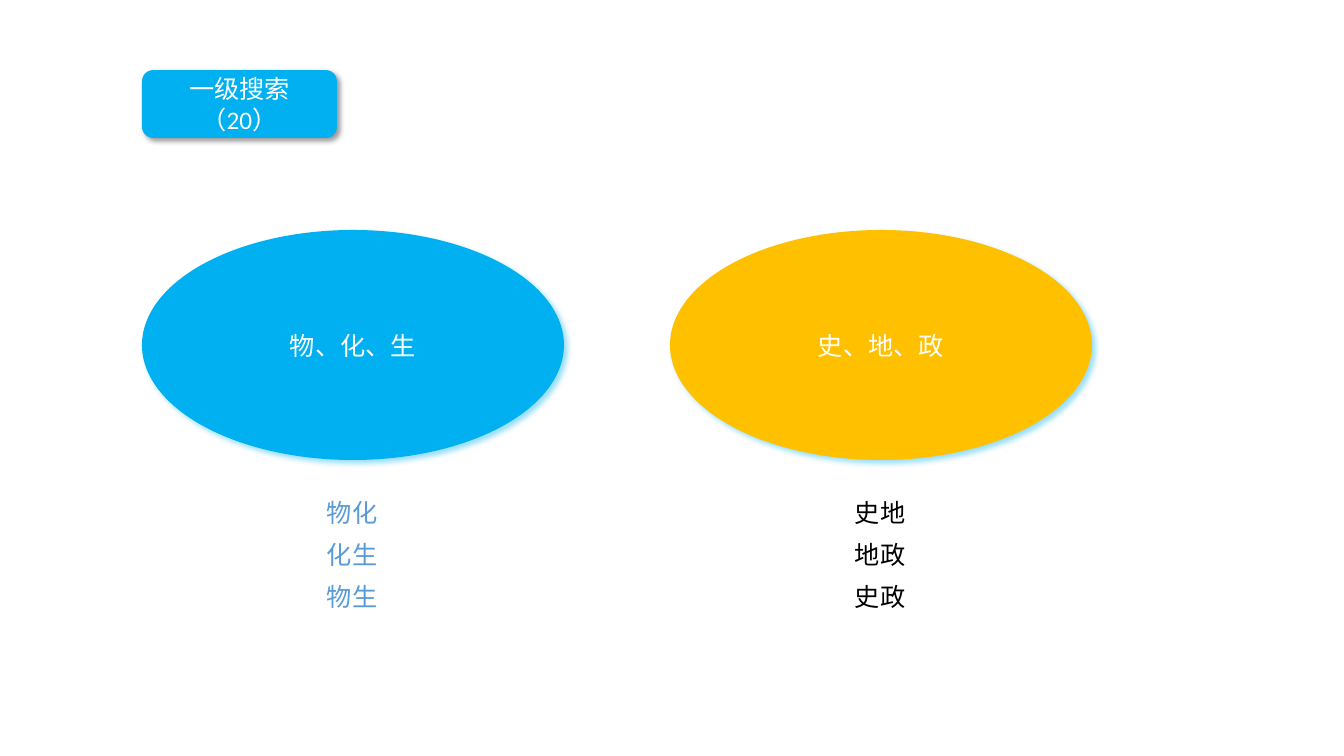
from dataclasses import dataclass

from lxml import etree
from pptx import Presentation
from pptx.dml.color import RGBColor
from pptx.enum.shapes import MSO_SHAPE
from pptx.enum.text import MSO_ANCHOR, MSO_AUTO_SIZE, PP_ALIGN
from pptx.oxml.ns import qn
from pptx.util import Pt

OVAL = MSO_SHAPE.OVAL
BADGE = MSO_SHAPE.FLOWCHART_ALTERNATE_PROCESS
CENTER, LEFT = PP_ALIGN.CENTER, PP_ALIGN.LEFT
MIDDLE = MSO_ANCHOR.MIDDLE
GROW = MSO_AUTO_SIZE.SHAPE_TO_FIT_TEXT


@dataclass(frozen=True)
class Theme:
    blue: str = "00B0F0"
    gold: str = "FFC000"
    soft: str = "5B9BD5"
    black: str = "000000"
    white: str = "FFFFFF"
    latin: str = "Calibri"
    han: str = "Noto Sans CJK SC"
    size: int = 18


THEME = Theme()

TITLE = "一级搜索（20）"
GROUPS = [
    ("物、化、生", THEME.blue, THEME.soft, ["物化", "化生", "物生"]),
    ("史、地、政", THEME.gold, THEME.black, ["史地", "地政", "史政"]),
]

# Lengths in px
PX = 914400 / 100.8
WIDTH, HEIGHT = 1344, 756
LEFT_X = 142
BADGE_Y, BADGE_W, BADGE_H = 70, 195, 68
OVAL_Y, OVAL_W, OVAL_H = 230, 422, 230
GROUP_STEP = 528
PAIR_Y, PAIR_W, PAIR_H, PAIR_STEP = 492, 72, 40, 42


def emu(*px):
    return [round(n * PX) for n in px]


def write(shape, text, color, font, align):
    para = shape.text_frame.paragraphs[0]
    para.text = text
    para.alignment = align
    run = para.runs[0]
    run.font.size = Pt(THEME.size)
    run.font.name = font
    run.font.color.rgb = RGBColor.from_string(color)
    props = run.font._element
    east = etree.Element(qn("a:ea"), typeface=THEME.han)
    props.find(qn("a:latin")).addnext(east)


def cast(shape, color):
    """Give the shape a soft shadow to the lower right."""
    shape.shadow.inherit = False
    effects = shape._element.spPr.find(qn("a:effectLst"))
    outer = etree.SubElement(
        effects, qn("a:outerShdw"), blurRad=str(Pt(4)), dist=str(Pt(3)),
        dir="2700000", algn="tl", rotWithShape="0")
    tint = etree.SubElement(outer, qn("a:srgbClr"), val=color)
    etree.SubElement(tint, qn("a:alpha"), val="40000")


def add_block(slide, kind, box, text, fill, shade, font):
    shape = slide.shapes.add_shape(kind, *emu(*box))
    shape.fill.solid()
    shape.fill.fore_color.rgb = RGBColor.from_string(fill)
    shape.line.fill.background()
    cast(shape, shade)
    shape.text_frame.word_wrap = True
    shape.text_frame.vertical_anchor = MIDDLE
    write(shape, text, THEME.white, font, CENTER)


def add_pair(slide, x, y, text, color):
    label = slide.shapes.add_textbox(*emu(x, y, PAIR_W, PAIR_H))
    label.text_frame.word_wrap = False
    label.text_frame.auto_size = GROW
    write(label, text, color, THEME.han, LEFT)


def main():
    deck = Presentation()
    deck.slide_width, deck.slide_height = emu(WIDTH, HEIGHT)
    slide = deck.slides.add_slide(deck.slide_layouts[6])

    for col, (name, fill, ink, pairs) in enumerate(GROUPS):
        x = LEFT_X + col * GROUP_STEP
        add_block(slide, OVAL, (x, OVAL_Y, OVAL_W, OVAL_H),
                  name, fill, THEME.blue, THEME.han)
        for row, pair in enumerate(pairs):
            add_pair(slide, x + (OVAL_W - PAIR_W) // 2,
                     PAIR_Y + row * PAIR_STEP, pair, ink)

    add_block(slide, BADGE, (LEFT_X, BADGE_Y, BADGE_W, BADGE_H),
              TITLE, THEME.blue, THEME.black, THEME.latin)
    deck.save("out.pptx")


if __name__ == "__main__":
    main()
